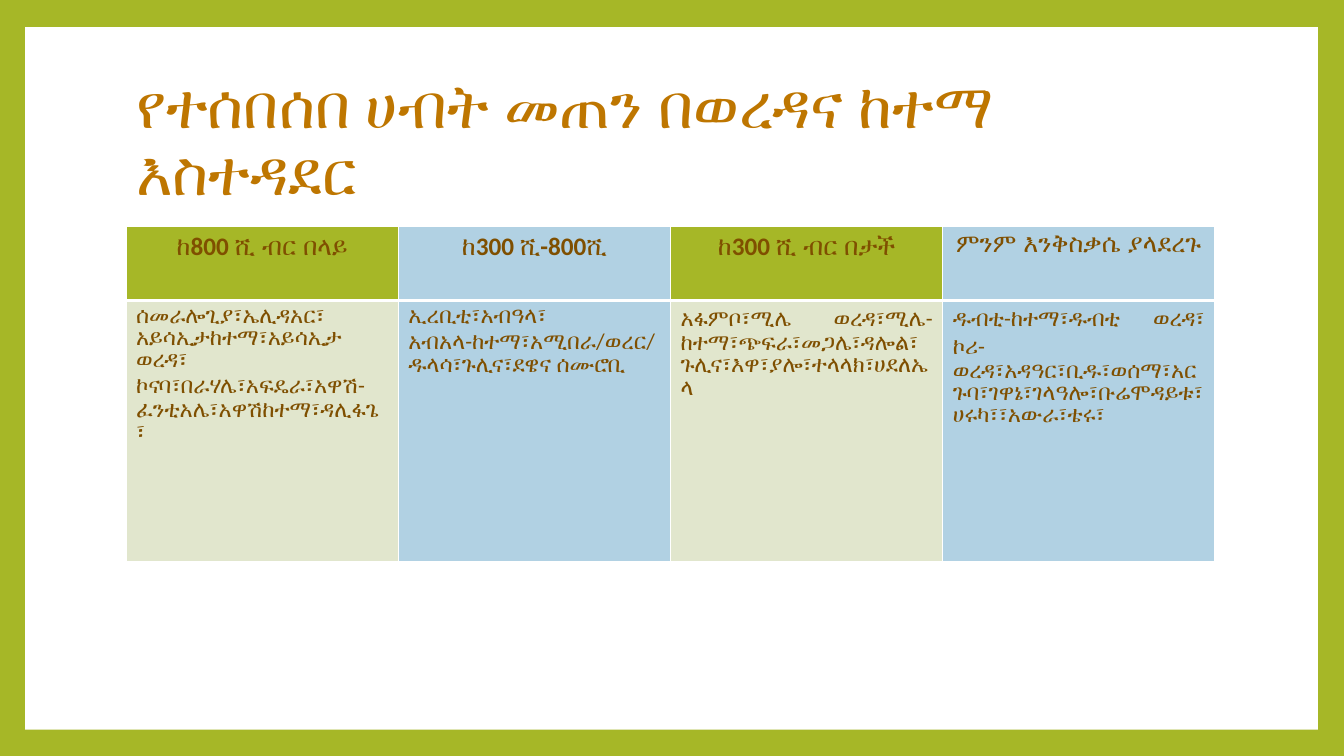
from lxml.etree import SubElement
from pptx import Presentation
from pptx.dml.color import RGBColor
from pptx.enum.shapes import MSO_SHAPE
from pptx.enum.text import MSO_ANCHOR, PP_ALIGN
from pptx.oxml.ns import qn
from pptx.util import Inches, Pt

WIDTH, HEIGHT = 13.33, 7.5
FONT = "Calibri"
COLOURS = {
    "frame": "A6B727", "panel": "FFFFFF", "title": "BE7600", "text": "7F4F00",
    "green": "A6B727", "pale": "E1E6CD", "blue": "B1D1E3", "border": "FFFFFF",
}
TITLE = "የተሰበሰበ ሀብት መጠን በወረዳና ከተማ እስተዳደር"
HEADERS = ["ከ800 ሺ ብር በላይ", "ከ300 ሺ-800ሺ", "ከ300 ሺ ብር በታች", "ምንም እንቅስቃሴ ያላደረጉ"]
DISTRICTS = [
    "ሰመራሎጊያ፣ኤሊዳአር፣\nአይሳኢታከተማ፣አይሳኢታ ወረዳ፣\nኮናባ፣በራሃሌ፣አፍዴራ፣አዋሽ-ፈንቲአሌ፣አዋሽከተማ፣ዳሊፋጌ፣",
    "ኢረቢቲ፣አብዓላ፣\nአብአላ-ከተማ፣አሚበራ/ወረር/ ዱላሳ፣ጉሊና፣ደዌና ሰሙሮቢ",
    "አፋምቦ፣ሚሌ ወረዳ፣ሚሌ-ከተማ፣ጭፍራ፣መጋሌ፣ዳሎል፣ ጉሊና፣እዋ፣ያሎ፣ተላላክ፣ሀደለኤላ",
    "ዱብቲ-ከተማ፣ዱብቲ ወረዳ፣ ኮሪ-ወረዳ፣አዳዓር፣ቢዱ፣ወሰማ፣አርጉባ፣ገዋኔ፣ገላዓሎ፣ቡሬሞዳይቱ፣ሀሩካ፣፣አውራ፣ቴሩ፣",
]
# Look of each table row
ROWS = [
    {"texts": HEADERS, "height": 0.73, "fills": ("green", "blue"), "bottom": 3,
     "align": PP_ALIGN.CENTER, "font": {"size": Pt(18), "bold": True}},
    {"texts": DISTRICTS, "height": 2.59, "fills": ("pale", "blue"), "bottom": 1,
     "align": PP_ALIGN.JUSTIFY, "font": {"size": Pt(16), "bold": False}},
]


def colour(name):
    return RGBColor.from_string(COLOURS[name])


def format_font(font, colour_name, values):
    for name, value in {"name": FONT, **values}.items():
        setattr(font, name, value)
    font.color.rgb = colour(colour_name)


def add_frame(slide, box):
    """Coloured background with a white panel inside it."""
    slide.background.fill.solid()
    slide.background.fill.fore_color.rgb = colour("frame")
    panel = slide.shapes.add_shape(MSO_SHAPE.RECTANGLE, *map(Inches, box))
    panel.shadow.inherit = False
    panel.fill.solid()
    panel.fill.fore_color.rgb = colour("panel")
    panel.line.fill.background()
    # Keep the panel behind the title
    slide.shapes._spTree.insert(2, panel._element)


def add_title(slide, box):
    title = slide.shapes.title
    for name, value in zip(("left", "top", "width", "height"), box):
        setattr(title, name, Inches(value))
    frame = title.text_frame
    frame.text = TITLE
    frame.word_wrap = True
    frame.vertical_anchor = MSO_ANCHOR.MIDDLE
    paragraph = frame.paragraphs[0]
    paragraph.alignment = PP_ALIGN.LEFT
    paragraph.line_spacing = 0.9
    format_font(paragraph.runs[0].font, "title", {"size": Pt(44)})


def set_borders(cell, bottom):
    properties = cell._tc.get_or_add_tcPr()
    for side, points in {"L": 1, "R": 1, "T": 1, "B": bottom}.items():
        line = SubElement(properties, qn(f"a:ln{side}"), w=str(Pt(points)))
        fill = SubElement(line, qn("a:solidFill"))
        SubElement(fill, qn("a:srgbClr"), val=COLOURS["border"])


def fill_cell(cell, text, fill_name, row):
    # Borders come before the fill in the cell properties
    set_borders(cell, row["bottom"])
    cell.fill.solid()
    cell.fill.fore_color.rgb = colour(fill_name)
    cell.text = text
    for paragraph in cell.text_frame.paragraphs:
        paragraph.alignment = row["align"]
        for run in paragraph.runs:
            format_font(run.font, "text", row["font"])


def add_district_table(slide, box):
    columns = len(HEADERS)
    table = slide.shapes.add_table(len(ROWS), columns, *map(Inches, box)).table
    for row_index, row in enumerate(ROWS):
        table.rows[row_index].height = Inches(row["height"])
        for column, text in enumerate(row["texts"]):
            table.columns[column].width = Inches(box[2] / columns)
            fill_cell(table.cell(row_index, column), text, row["fills"][column % 2], row)
    # The second header edge matches the thick header rule
    for column in range(columns):
        top = table.cell(1, column)._tc.tcPr.find(qn("a:lnT"))
        top.set("w", str(Pt(ROWS[0]["bottom"])))


def main():
    presentation = Presentation()
    presentation.slide_width, presentation.slide_height = Inches(WIDTH), Inches(HEIGHT)
    slide = presentation.slides.add_slide(presentation.slide_layouts[5])
    left, width = 1.25, 10.8
    add_frame(slide, (0.25, 0.27, 12.82, 6.97))
    add_title(slide, (left, 0.67, width, 1.48))
    add_district_table(slide, (left, 2.25, width, sum(row["height"] for row in ROWS)))
    presentation.save("out.pptx")


if __name__ == "__main__":
    main()
